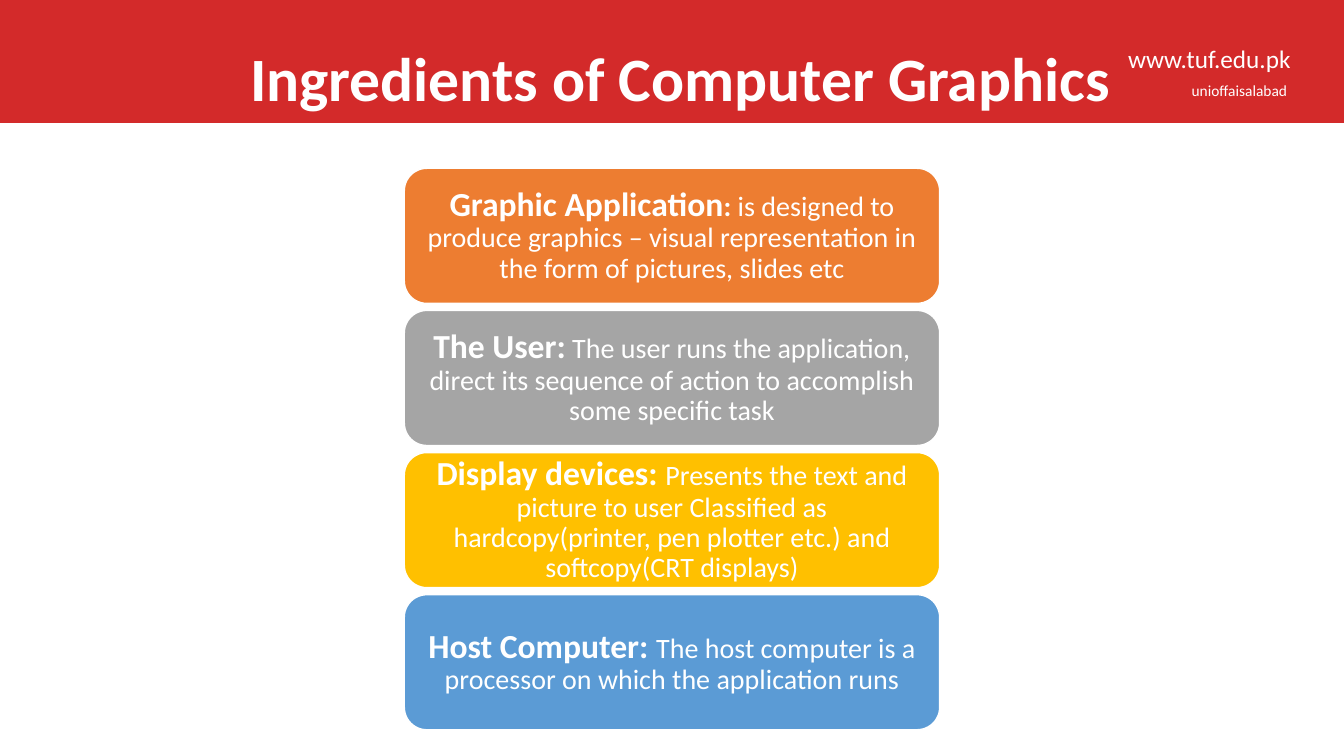
"""Build the slide on the ingredients of computer graphics."""
import pptx
import pptx.dml.color
import pptx.enum.shapes
import pptx.enum.text
import pptx.util

Inches = pptx.util.Inches
RGBColor = pptx.dml.color.RGBColor
MSO_SHAPE = pptx.enum.shapes.MSO_SHAPE
MIDDLE = pptx.enum.text.MSO_ANCHOR.MIDDLE
CENTER = pptx.enum.text.PP_ALIGN.CENTER

FONT = "Calibri"
WHITE = RGBColor(0xFF, 0xFF, 0xFF)
RED = RGBColor(0xD3, 0x2A, 0x2A)
ORANGE = RGBColor(0xED, 0x7D, 0x31)
GRAY = RGBColor(0xA5, 0xA5, 0xA5)
YELLOW = RGBColor(0xFF, 0xC0, 0x00)
BLUE = RGBColor(0x5B, 0x9B, 0xD5)

CARD_TOP = 1.67
CARD_PITCH = 1.41
INGREDIENTS = [
    (ORANGE, [("Graphic Application", 24, True), (":", 20, True),
              (" is designed to produce graphics – visual representation "
               "in the form of pictures, slides etc", 20, False)]),
    (GRAY, [("The User:", 24, True),
            (" The user runs the application, direct its sequence of action "
             "to accomplish some specific task", 20, False)]),
    (YELLOW, [("Display devices: ", 24, True),
              ("Presents the text and picture to user Classified as "
               "hardcopy(printer, pen plotter etc.) and "
               "softcopy(CRT displays)", 20, False)]),
    (BLUE, [("Host Computer: ", 24, True),
            ("The host computer is a processor on which the application "
             "runs", 20, False)]),
]


def format_run(run, size, bold=False):
    run.font.name = FONT
    run.font.size = pptx.util.Pt(size)
    run.font.bold = bold
    run.font.color.rgb = WHITE


def center_paragraph(paragraph):
    paragraph.alignment = CENTER
    paragraph.line_spacing = 0.9


def add_banner(slide):
    banner = slide.shapes.add_shape(
        MSO_SHAPE.RECTANGLE, 0, 0, Inches(13.33), Inches(1.22))
    banner.shadow.inherit = False
    banner.fill.solid()
    banner.fill.fore_color.rgb = RED
    banner.line.fill.background()
    slide.shapes.title.element.addprevious(banner.element)


def set_title(slide, wording):
    title = slide.shapes.title
    title.left, title.top = Inches(1), Inches(0.08)
    title.width, title.height = Inches(11.5), Inches(1.45)
    frame = title.text_frame
    frame.text = wording
    frame.vertical_anchor = MIDDLE
    center_paragraph(frame.paragraphs[0])
    format_run(frame.paragraphs[0].runs[0], 44, True)


def add_contact(slide, wording, left, top, width, height, size):
    contact = slide.shapes.add_textbox(
        Inches(left), Inches(top), Inches(width), Inches(height))
    frame = contact.text_frame
    frame.word_wrap = True
    frame.text = wording
    format_run(frame.paragraphs[0].runs[0], size)


def add_card(slide, top, color, phrases):
    card = slide.shapes.add_shape(
        MSO_SHAPE.ROUNDED_RECTANGLE,
        Inches(4.01), Inches(top), Inches(5.31), Inches(1.34))
    card.shadow.inherit = False
    card.fill.solid()
    card.fill.fore_color.rgb = color
    card.line.color.rgb = WHITE
    card.line.width = pptx.util.Pt(1)
    frame = card.text_frame
    frame.word_wrap = True
    frame.vertical_anchor = MIDDLE
    frame.margin_left = frame.margin_right = Inches(0.08)
    frame.margin_top = frame.margin_bottom = Inches(0)
    paragraph = frame.paragraphs[0]
    center_paragraph(paragraph)
    for wording, size, bold in phrases:
        run = paragraph.add_run()
        run.text = wording
        format_run(run, size, bold)


def main():
    presentation = pptx.Presentation()
    presentation.slide_width = Inches(13.33)
    presentation.slide_height = Inches(7.5)
    slide = presentation.slides.add_slide(presentation.slide_layouts[5])
    add_banner(slide)
    set_title(slide, "Ingredients of Computer Graphics")
    add_contact(slide, "unioffaisalabad", 11.72, 0.76, 1.6, 0.29, 11)
    add_contact(slide, "www.tuf.edu.pk", 11.09, 0.38, 2.2, 0.4, 18)
    for row, (color, phrases) in enumerate(INGREDIENTS):
        add_card(slide, CARD_TOP + row * CARD_PITCH, color, phrases)
    presentation.save("out.pptx")


if __name__ == "__main__":
    main()
